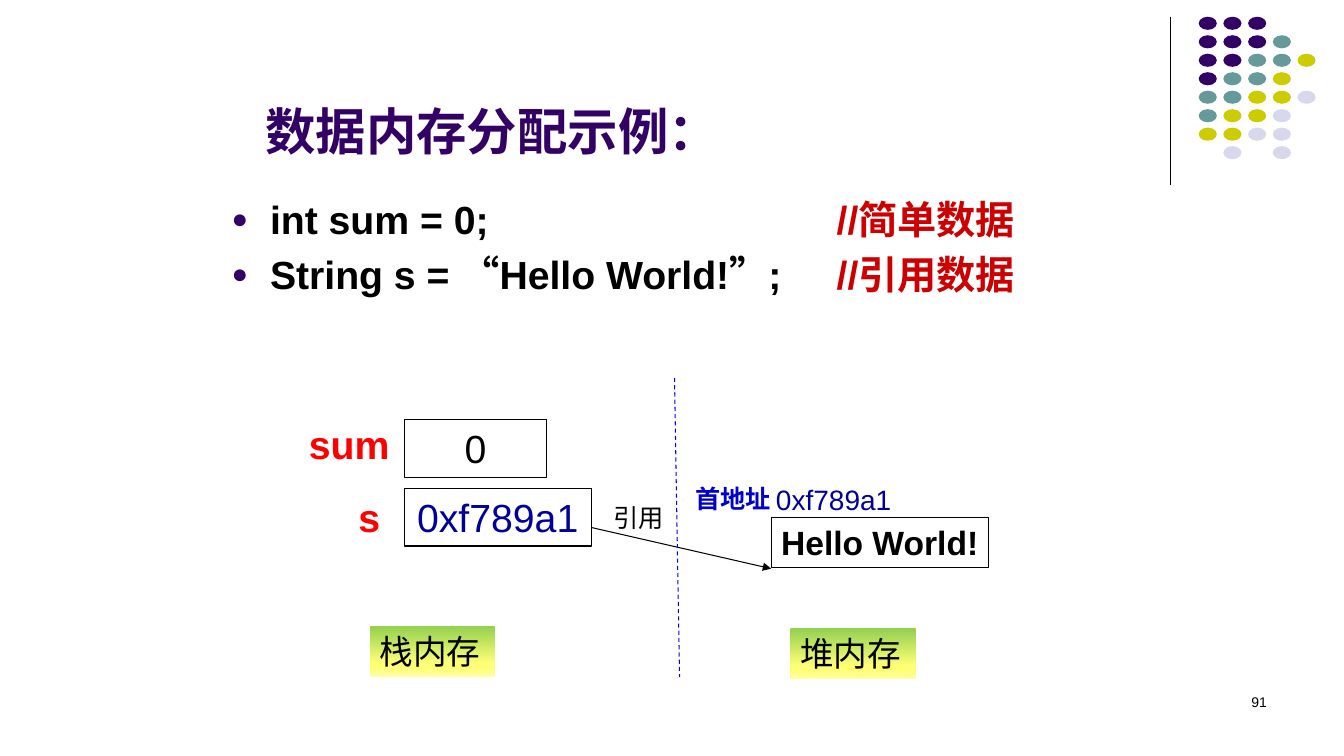
"""Build a slide showing how simple and reference data are laid out in memory."""
from lxml import etree
from pptx import Presentation, util as u
from pptx.dml.color import RGBColor
from pptx.enum import dml, shapes, text
from pptx.oxml import parse_xml
from pptx.oxml.ns import nsdecls, qn

COLORS = {"purple": "330066", "teal": "669999", "olive": "CCCC00", "mist": "D8D8EC",
          "black": "000000", "comment": "CC0000", "red": "FF0000", "address": "000099",
          "label": "0000CC", "divider": "0000FF"}
LATIN, CHINESE = "Arial", "Noto Sans CJK SC"
LEFT, CENTER, RIGHT = text.PP_ALIGN.LEFT, text.PP_ALIGN.CENTER, text.PP_ALIGN.RIGHT

presentation = Presentation()
presentation.slide_width, presentation.slide_height = u.Inches(13.33), u.Inches(7.5)
slide = presentation.slides.add_slide(presentation.slide_layouts[6])
COLUMN, ROW = presentation.slide_width / 160, presentation.slide_height / 90


def add_box(place, words, size, color, bold=False, align=LEFT, font=LATIN,
            kind=shapes.MSO_SHAPE.RECTANGLE, wrap=True):
    left, top, width, height = place
    shape = slide.shapes.add_shape(kind, int(left * COLUMN), int(top * ROW),
                                   int(width * COLUMN), int(height * ROW))
    shape.shadow.inherit = False
    shape.fill.background()
    shape.line.fill.background()
    frame = shape.text_frame
    frame.word_wrap = wrap
    frame.vertical_anchor = text.MSO_ANCHOR.TOP
    if words:
        paragraph = frame.paragraphs[0]
        paragraph.text = words
        paragraph.alignment = align
        paragraph.font.name, paragraph.font.size = font, u.Pt(size)
        paragraph.font.bold = bold
        paragraph.font.color.rgb = RGBColor.from_string(COLORS[color])
    return shape


def add_line(start, end, color):
    line = slide.shapes.add_connector(
        shapes.MSO_CONNECTOR.STRAIGHT, int(start[0] * COLUMN), int(start[1] * ROW),
        int(end[0] * COLUMN), int(end[1] * ROW))
    line.line.color.rgb = RGBColor.from_string(COLORS[color])
    line.line.width = u.Pt(0.75)
    etree.SubElement(line._element.spPr, qn("a:effectLst"))
    return line


add_line((139.3, 2), (139.3, 22), "black")
dot_colors = {"P": "purple", "T": "teal", "O": "olive", "M": "mist"}
dot_rows = ["PPP", "PPPT", "PPTTO", "PTTO", "TTOOM", "TOOM", "OOMM", " M M"]
for row, dots in enumerate(dot_rows):
    for column, code in enumerate(dots):
        if code in dot_colors:
            dot = add_box((142.7 + 2.94 * column, 2 + 2.2 * row, 2.16, 1.56), "", 10, "black",
                          kind=shapes.MSO_SHAPE.OVAL)
            dot.fill.solid()
            dot.fill.fore_color.rgb = RGBColor.from_string(COLORS[dot_colors[code]])

add_box((114.7, 82, 37.3, 6), "91", 10, "black", align=RIGHT)
title = add_box((30.4, 4.7, 90.7, 15), "数据内存分配示例：", 36, "purple", True)
title.text_frame.vertical_anchor = text.MSO_ANCHOR.BOTTOM

code_frame = add_box((26.4, 22.7, 107, 15.7), "", 28, "black").text_frame
code_lines = [
    [("int sum = 0;", LATIN), ("\t//简单数据", LATIN)],
    [("String s = ", LATIN), ("“", CHINESE), ("Hello World!", LATIN), ("”", CHINESE),
     (";", LATIN), ("\t//引用数据", LATIN)],
]
for index, pieces in enumerate(code_lines):
    paragraph = code_frame.paragraphs[0] if index == 0 else code_frame.add_paragraph()
    paragraph.alignment = LEFT
    if index:
        paragraph.space_before = u.Pt(5.6)
    properties = paragraph._p.get_or_add_pPr()
    properties.set("marL", str(u.Inches(0.38)))
    properties.set("indent", str(-u.Inches(0.38)))
    bullet = parse_xml(
        f'<a:pPr {nsdecls("a")}><a:buClr><a:srgbClr val="{COLORS["purple"]}"/></a:buClr>'
        f'<a:buSzPct val="70000"/><a:buFont typeface="{LATIN}"/><a:buChar char="●"/>'
        f'<a:tabLst><a:tab pos="{u.Inches(6)}" algn="l"/></a:tabLst></a:pPr>')
    properties.extend(list(bullet))
    paragraph.font.size, paragraph.font.bold = u.Pt(28), True
    for words, font in pieces:
        run = paragraph.add_run()
        run.text = words
        run.font.name = font
        color = "comment" if "//" in words else "black"
        run.font.color.rgb = RGBColor.from_string(COLORS[color])

add_box((35.6, 49.4, 12.1, 6.9), "sum", 28, "red", True, wrap=False)
add_box((41.5, 58.1, 5, 6.9), "s", 28, "red", True, wrap=False)
cells = [
    add_box((48.1, 49.9, 17, 6.9), "0", 28, "black", align=CENTER),
    add_box((48.1, 58.1, 22.3, 6.9), "0xf789a1", 28, "address", align=CENTER),
    add_box((91.8, 61.6, 25.9, 6), "Hello World!", 24, "black", True, wrap=False),
]
for cell in cells:
    cell.line.color.rgb = RGBColor.from_string(COLORS["black"])
    cell.line.width = u.Pt(0.75)

reference = add_line((70.4, 62.8), (91.8, 67.7), "black")
etree.SubElement(reference.line._get_or_add_ln(), qn("a:tailEnd"), type="triangle")
divider = add_line((80.3, 45), (80.9, 80.6), "divider")
divider.line.dash_style = dml.MSO_LINE.DASH

add_box((90.8, 56.9, 16.9, 5.3), "0xf789a1", 20, "address", align=CENTER)
add_box((81.6, 56.9, 12.5, 4.8), "首地址", 18, "label", True)
add_box((71.3, 59.2, 9.5, 4.8), "引用", 18, "black", align=CENTER, font=CHINESE)

gradient_stops = [(0, "92D050"), (74, "FFFF75"), (83, "FFFF75"), (100, "FFFFA3")]
for left, top, words in [(94.1, 74.8, "堆内存"), (44, 74.5, "栈内存")]:
    area = add_box((left, top, 14.9, 6), words, 24, "black", font=CHINESE)
    area.fill.gradient()
    area.fill.gradient_angle = 270
    stop_list = area._element.spPr.find(qn("a:gradFill")).find(qn("a:gsLst"))
    stop_list.clear()
    for position, color in gradient_stops:
        stop = etree.SubElement(stop_list, qn("a:gs"), pos=str(position * 1000))
        etree.SubElement(stop, qn("a:srgbClr"), val=color)

presentation.save("out.pptx")
